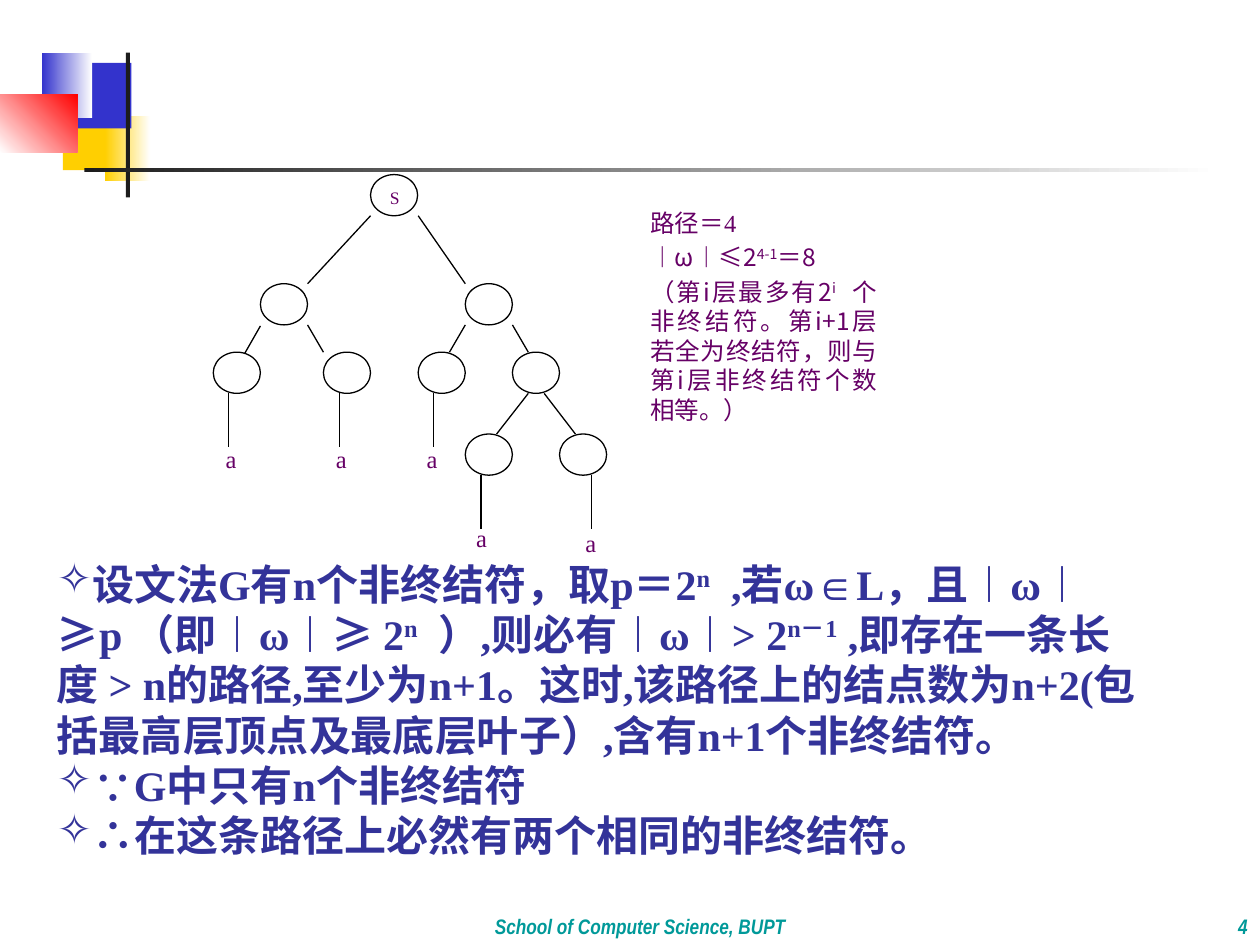
from pptx import Presentation
from pptx.dml.color import RGBColor
from pptx.enum.shapes import MSO_CONNECTOR, MSO_SHAPE
from pptx.enum.text import MSO_ANCHOR, PP_ALIGN
from pptx.oxml.ns import qn
from pptx.util import Cm, Pt
from lxml.etree import SubElement

BLACK = RGBColor(0x00, 0x00, 0x00)
WHITE = RGBColor(0xFF, 0xFF, 0xFF)
INK = RGBColor(0x1C, 0x1C, 0x1C)
YELLOW = RGBColor(0xFF, 0xCF, 0x01)
BLUE = RGBColor(0x33, 0x33, 0xCC)
RED = RGBColor(0xFF, 0x00, 0x00)
NAVY = RGBColor(0x33, 0x33, 0x99)
PURPLE = RGBColor(0x66, 0x00, 0x66)
TEAL = RGBColor(0x00, 0x99, 0x99)
SERIF, SANS, NARROW = "Times New Roman", "Noto Sans CJK SC", "Arial Narrow"

BODY = {"size": Pt(24), "name": SERIF, "bold": True}
NOTE = {"size": Pt(14), "name": SERIF}
NOTE_SANS = {"size": Pt(14), "name": SANS}
ROOT = {"size": Pt(10), "name": SERIF}
FOOTER = {"size": Pt(12), "name": NARROW, "bold": True, "italic": True}

DECOR = [
    (1.27, 2.11, 1.22, 1.32, YELLOW, None, 0),
    (2.12, 2.33, 0.91, 1.32, YELLOW, WHITE, 0),
    (1.47, 1.27, 1.18, 1.32, BLUE, None, 0),
    (0.84, 1.06, 1.02, 1.32, BLUE, WHITE, 0),
    (0, 1.9, 1.56, 1.17, WHITE, RED, 45),
    (2.54, 1.06, 0.08, 2.92, INK, None, 0),
    (1.7, 3.38, 22.86, 0.08, INK, WHITE, 0),
]

NODE_W, NODE_H = 0.95, 0.83
NODES = [(7.47, 3.52), (5.25, 5.72), (9.38, 5.72),
         (4.3, 7.1), (6.52, 7.1), (8.43, 7.1), (10.33, 7.1),
         (9.38, 8.75), (11.28, 8.75)]
BRANCHES = [(7.47, 4.35, 6.2, 5.72), (8.43, 4.35, 9.38, 5.72),
            (5.25, 6.57, 4.93, 7.13), (6.2, 6.55, 6.52, 7.1),
            (9.38, 6.55, 9.06, 7.1), (10.33, 6.55, 10.65, 7.1),
            (10.65, 7.93, 10.01, 8.75), (10.97, 7.93, 11.6, 8.75)]
STEM = 1.1
STEMS = [(4.61, 7.92), (6.84, 7.92), (8.74, 7.92), (9.7, 9.57), (11.92, 9.57)]
LEAVES = [(4.3, 8.82), (6.52, 8.82), (8.35, 8.82), (9.35, 10.42), (11.55, 10.52)]

PROOF = [
    [("设文法G有n个非终结符，取p＝2", 0), ("n", 30),
     ("  ,若ω∈L，且︱ω︱≥p （即︱ω︱≥ 2", 0), ("n", 30),
     ("  ）,则必有︱ω︱> 2", 0), ("n－1", 30),
     (" ,即存在一条长度 > n的路径,至少为n+1。这时,该路径上的结点数为"
      "n+2(包括最高层顶点及最底层叶子）,含有n+1个非终结符。", 0)],
    [("∵G中只有n个非终结符", 0)],
    [("∴在这条路径上必然有两个相同的非终结符。", 0)],
]
REMARK = [
    [("路径＝4", 0, NOTE)],
    [("︱", 0, NOTE), ("ω︱≤2", 0), ("4-1", 30), ("＝8", 0)],
    [("（第i层最多有2", 0), ("i", 30),
     ("  个非终结符。第i+1层若全为终结符，则与第i层非终结符个数相等。）", 0)],
]


def add_run(p, text, base, fmt, color):
    r = p.add_run()
    r.text = text
    for key, value in fmt.items():
        setattr(r.font, key, value)
    r.font.color.rgb = color
    rPr = r.font._element
    SubElement(rPr, qn("a:ea")).set("typeface", SANS)
    if base:
        rPr.set("baseline", str(base * 1000))


def write(tf, paragraphs, fmt, color, align=None, spacing=None, before=0, bullet=None):
    tf.word_wrap = True
    for i, runs in enumerate(paragraphs):
        p = tf.paragraphs[0] if i == 0 else tf.add_paragraph()
        p.alignment = align
        p.line_spacing = spacing
        p.space_before = Pt(before if i else 0)
        if bullet:
            SubElement(p._p.get_or_add_pPr(), qn("a:buChar")).set("char", bullet)
        for text, base, *own in runs:
            add_run(p, text, base, own[0] if own else fmt, color)


def add_text(shapes, x, y, w, h, paragraphs, fmt, color, anchor=MSO_ANCHOR.TOP, **layout):
    sp = shapes.add_textbox(Cm(x), Cm(y), Cm(w), Cm(h))
    sp.text_frame.vertical_anchor = anchor
    write(sp.text_frame, paragraphs, fmt, color, **layout)


def add_block(shapes, x, y, w, h, color, fade, angle):
    sp = shapes.add_shape(MSO_SHAPE.RECTANGLE, Cm(x), Cm(y), Cm(w), Cm(h))
    sp.shadow.inherit = False
    sp.line.fill.background()
    if fade is None:
        sp.fill.solid()
        sp.fill.fore_color.rgb = color
        return
    sp.fill.gradient()
    sp.fill.gradient_angle = angle
    for stop, rgb, position in zip(sp.fill.gradient_stops, (color, fade), (0, 1)):
        stop.color.rgb = rgb
        stop.position = position


def add_node(shapes, x, y):
    sp = shapes.add_shape(MSO_SHAPE.OVAL, Cm(x), Cm(y), Cm(NODE_W), Cm(NODE_H))
    sp.shadow.inherit = False
    sp.fill.solid()
    sp.fill.fore_color.rgb = WHITE
    sp.line.color.rgb = BLACK
    sp.line.width = Pt(0.75)
    return sp


def add_line(shapes, x1, y1, x2, y2):
    c = shapes.add_connector(MSO_CONNECTOR.STRAIGHT, Cm(x1), Cm(y1), Cm(x2), Cm(y2))
    c.line.color.rgb = BLACK
    c.line.width = Pt(0.75)
    SubElement(c._element.spPr, qn("a:effectLst"))


def add_tree(shapes):
    for branch in BRANCHES:
        add_line(shapes, *branch)
    for x, y in STEMS:
        add_line(shapes, x, y, x, y + STEM)
    root, *_ = [add_node(shapes, x, y) for x, y in NODES]
    root.text_frame.vertical_anchor = MSO_ANCHOR.TOP
    write(root.text_frame, [[("S", 0)]], ROOT, PURPLE, align=PP_ALIGN.JUSTIFY)
    for x, y in LEAVES:
        add_text(shapes, x, y, NODE_W, 1.09, [[("a", 0)]], NOTE, PURPLE,
                 align=PP_ALIGN.JUSTIFY)


def main():
    """Build the parse tree slide and save it."""
    prs = Presentation()
    prs.slide_width, prs.slide_height = Cm(25.4), Cm(19.05)
    s = prs.slides.add_slide(prs.slide_layouts[6])
    for block in DECOR:
        add_block(s.shapes, *block)
    add_text(s.shapes, 21.17, 17.78, 4.23, 1.27, [[("4", 0)]], FOOTER, TEAL,
             MSO_ANCHOR.BOTTOM, align=PP_ALIGN.RIGHT)
    add_text(s.shapes, 4.02, 17.78, 17.78, 1.27,
             [[("School of Computer Science, BUPT", 0)]], FOOTER, TEAL,
             MSO_ANCHOR.BOTTOM, align=PP_ALIGN.CENTER, spacing=1.1)
    add_text(s.shapes, 0.9, 11.13, 22.48, 6.4, PROOF, BODY, NAVY,
             spacing=Pt(28.75), bullet="✧")
    tree = s.shapes.add_group_shape()
    add_tree(tree.shapes)
    add_text(tree.shapes, 12.86, 4.06, 5.08, 7.7, REMARK, NOTE_SANS, PURPLE,
             align=PP_ALIGN.JUSTIFY, spacing=Pt(16.9), before=2.8)
    prs.save("out.pptx")


if __name__ == "__main__":
    main()
